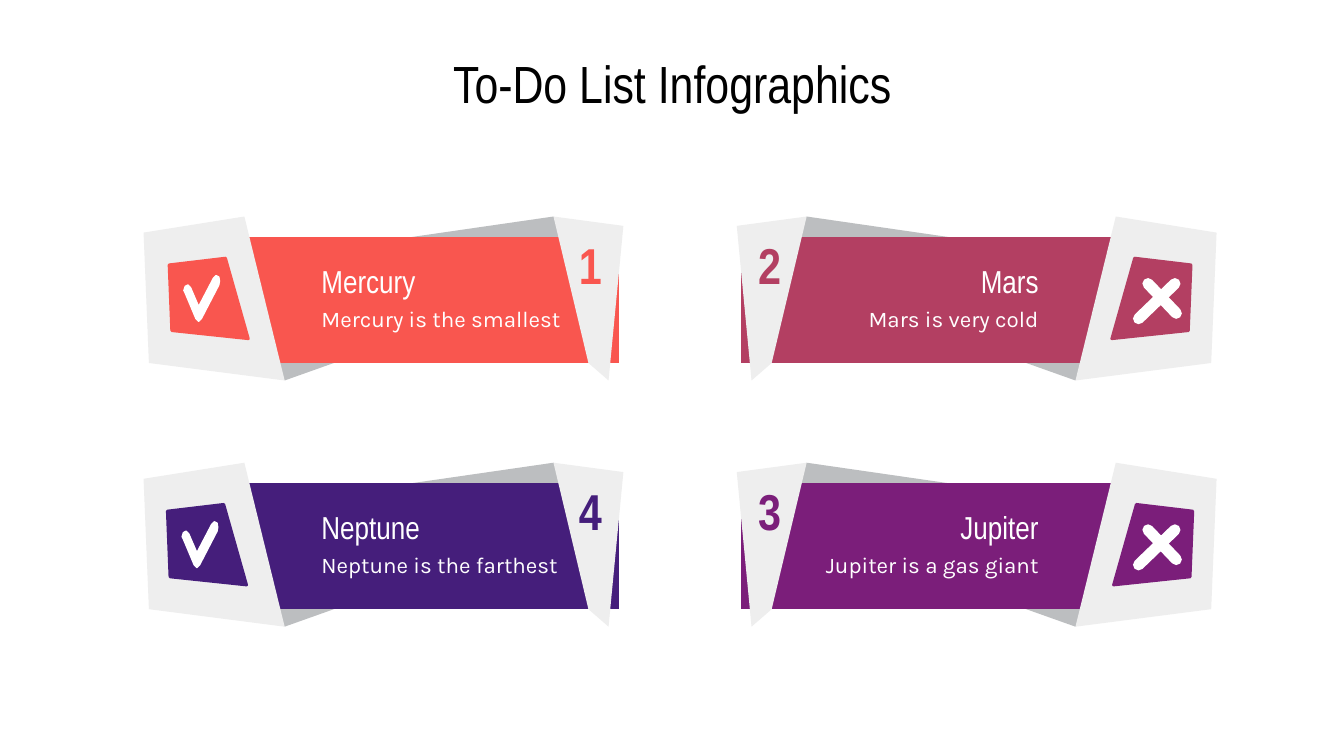
from lxml import etree
from pptx import Presentation
from pptx.dml.color import RGBColor
from pptx.enum.shapes import MSO_CONNECTOR
from pptx.enum.text import MSO_ANCHOR, PP_ALIGN
from pptx.oxml.ns import qn
from pptx.util import Inches, Pt

LEFT, CENTER, RIGHT = PP_ALIGN.LEFT, PP_ALIGN.CENTER, PP_ALIGN.RIGHT
TOP, MIDDLE = MSO_ANCHOR.TOP, MSO_ANCHOR.MIDDLE
STRAIGHT = MSO_CONNECTOR.STRAIGHT

BLACK = RGBColor(0x00, 0x00, 0x00)
WHITE = RGBColor(0xFF, 0xFF, 0xFF)
PAPER = RGBColor(0xEE, 0xEE, 0xEE)
FOLD = RGBColor(0xBC, 0xBE, 0xC0)
CORAL = RGBColor(0xF9, 0x56, 0x4F)
ROSE = RGBColor(0xB3, 0x3F, 0x62)
PURPLE = RGBColor(0x7B, 0x1E, 0x7A)
INDIGO = RGBColor(0x45, 0x1E, 0x7B)

HEADING_FONT, BODY_FONT = "Arial Narrow", "Karla"

# Widescreen slide, 16:9
presentation = Presentation()
presentation.slide_width = Inches(10)
presentation.slide_height = presentation.slide_width * 9 // 16
slide = presentation.slides.add_slide(presentation.slide_layouts[6])

# Square grid: 100 columns across the slide
CELL = presentation.slide_width / 100

# Banner outlines in cells, from the outer top corner towards the slide's middle
BACK_FOLD = [(30.5, 0), (6.3, 3.5), (10.5, 12.2), (19.5, 9), (34.1, 3)]
BAND = [(0.4, 1.5), (0.4, 10.9), (35.4, 10.9), (35.4, 1.5)]
NUMBER_FLAP = [(30.5, 0), (33.1, 10.9), (34.6, 12.2), (35.7, 0.7)]
ICON_FLAP = [(7.5, 0), (0, 1.2), (0.4, 10.9), (10.5, 12.2)]
TILE = [(6.1, 3.1), (1.9, 3.6), (2.1, 8.5), (7.8, 9.1)]
CHECK = [(5.4, 4.4), (5.2, 4.6), (4.1, 6.7), (3.5, 5.3), (3.3, 5.1),
         (3.1, 5.2), (3, 5.5), (3.1, 5.7), (3.9, 7.6), (4.1, 7.8),
         (4.3, 7.6), (5.6, 5.1), (5.65, 4.8), (5.6, 4.5)]
CROSS = [((5.8, 7.6), (3.1, 5)), ((3, 7.2), (5.1, 5))]

# Side: outer edge, direction towards the middle, text alignment
SIDES = [(10.68, 1, LEFT), (90.52, -1, RIGHT)]
FIRST_ROW, ROW_PITCH = 16.11, 18.32

# Row, side, number, heading, description, colour, tile shift
BANNERS = [
    (0, 0, "1", "Mercury", "Mercury is the smallest", CORAL, 0),
    (1, 0, "4", "Neptune", "Neptune is the farthest", INDIGO, -0.13),
    (0, 1, "2", "Mars", "Mars is very cold", ROSE, 0),
    (1, 1, "3", "Jupiter", "Jupiter is a gas giant", PURPLE, -0.13),
]


def add_text(shapes, text, left, top, width, height, *, size, color,
             font=HEADING_FONT, bold=False, align=LEFT, anchor=MIDDLE):
    box = shapes.add_textbox(*(round(value * CELL) for value in (left, top, width, height)))
    frame = box.text_frame
    frame.word_wrap = True
    frame.vertical_anchor = anchor
    frame.margin_left = frame.margin_right = Inches(0.1)
    frame.margin_top = frame.margin_bottom = Inches(0.1)
    paragraph = frame.paragraphs[0]
    paragraph.alignment = align
    run = paragraph.add_run()
    run.text = text
    run.font.name, run.font.size, run.font.bold = font, Pt(size), bold
    run.font.color.rgb = color


def add_polygon(shapes, points, color, outline=0):
    corners = [(round(x * CELL), round(y * CELL)) for x, y in points]
    builder = shapes.build_freeform(*corners[0])
    builder.add_line_segments(corners[1:], close=True)
    shape = builder.convert_to_shape()
    shape.shadow.inherit = False
    shape.fill.solid()
    shape.fill.fore_color.rgb = color
    if outline:
        shape.line.color.rgb = color
        shape.line.width = Pt(outline)
        etree.SubElement(shape.element.spPr.find(qn("a:ln")), qn("a:round"))
    else:
        shape.line.fill.background()


# Title
add_text(slide.shapes, "To-Do List Infographics", 7.75, 3.5, 84.5, 5.3,
         size=28, color=BLACK, align=CENTER)

# Banners, the right side mirroring the left
for row, side, number, heading, description, color, shift in BANNERS:
    edge, direction, align = SIDES[side]
    top = FIRST_ROW + row * ROW_PITCH
    shapes = slide.shapes.add_group_shape().shapes

    # Folded ribbon and icon tile
    for points, fill, outline, offset in [
        (BACK_FOLD, FOLD, 0, 0), (BAND, color, 0, 0), (NUMBER_FLAP, PAPER, 0, 0),
        (ICON_FLAP, PAPER, 0, 0), (TILE, color, 1.5, shift),
    ]:
        add_polygon(shapes, [(edge + direction * (x + offset), top + y) for x, y in points],
                    fill, outline)

    # Number, description and heading
    number_left = edge + 31.1 if direction > 0 else edge - 31.1 - 4.3
    text_left = edge + 12.25 if direction > 0 else edge - 12.25 - 21
    add_text(shapes, number, number_left, top + 0.3, 4.3, 5.3,
             size=27, color=color, bold=True, align=CENTER, anchor=TOP)
    add_text(shapes, description, text_left, top + 5.7, 21, 3.8,
             size=12, color=WHITE, font=BODY_FONT, align=align)
    add_text(shapes, heading, text_left, top + 2.9, 21, 3.8,
             size=17, color=WHITE, align=align)

    # Check mark on the left, cross on the right
    if side == 0:
        add_polygon(shapes, [(edge + x + shift, top + y) for x, y in CHECK], WHITE, 0.75)
        continue
    for (start_x, start_y), (end_x, end_y) in CROSS:
        ends = (edge - start_x, top + start_y, edge - end_x, top + end_y)
        stroke = shapes.add_connector(STRAIGHT, *(round(value * CELL) for value in ends))
        stroke.line.color.rgb = WHITE
        stroke.line.width = Pt(6)
        properties = stroke.element.spPr
        properties.find(qn("a:ln")).set("cap", "rnd")
        etree.SubElement(properties, qn("a:effectLst"))

presentation.save("out.pptx")
